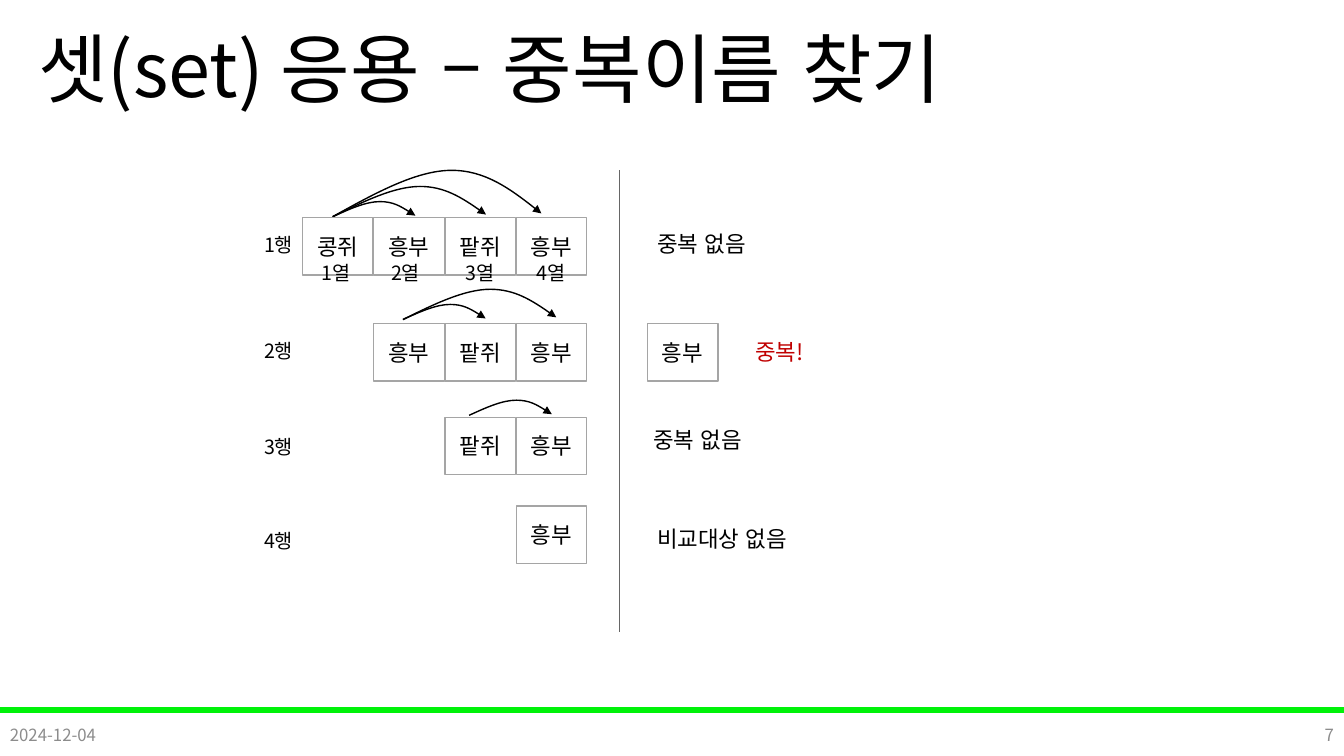
from lxml.etree import SubElement
from pptx import Presentation
from pptx.dml.color import RGBColor
from pptx.enum.lang import MSO_LANGUAGE_ID
from pptx.enum.shapes import MSO_CONNECTOR, MSO_SHAPE
from pptx.enum.text import MSO_ANCHOR, PP_ALIGN
from pptx.oxml.ns import qn
from pptx.util import Inches, Pt

FONT = "Noto Sans CJK KR"
BLACK = RGBColor(0, 0, 0)
WHITE = RGBColor(0xFF, 0xFF, 0xFF)
GRAY = RGBColor(0xA5, 0xA5, 0xA5)
DIVIDER_GRAY = RGBColor(0x66, 0x66, 0x66)
FOOTER_GRAY = RGBColor(0x8C, 0x8C, 0x8C)
GREEN = RGBColor(0x00, 0xF2, 0x09)
RED = RGBColor(0xC0, 0x00, 0x00)

NAMES = ["콩쥐", "흥부", "팥쥐", "흥부"]
CELL_W, CELL_H = 0.7, 0.57
PITCH = 2.12 / 3
# cell top, label top, arrow start (from the left and top of the first cell)
ROWS = [
    (2.16, 2.26, 0.3, -0.01),
    (3.21, 3.31, 0.29, -0.04),
    (4.14, 4.27, 0.24, -0.02),
    (5.02, 5.2, 0, 0),
]
COLUMN_LABELS = [0.09, 0.78, 1.52, 2.22]
# width and height of an arrow that reaches 1, 2 or 3 cells ahead
ARCS = [(0.82, 0.15), (1.52, 0.3), (2.07, 0.46)]
# start, then control, control and end of two Bezier curves in a unit box
ARC_POINTS = [(0, 1), (0.2, 0.5), (0.4, 0), (0.57, 0), (0.73, 0), (0.87, 0.46), (1, 0.93)]
RESULTS = [
    (0, 0.07, "중복 없음", 1.18, BLACK),
    (0.97, 1.15, "중복!", 0.71, RED),
    (-0.04, 2.02, "중복 없음", 1.18, BLACK),
    (0, 3.0, "비교대상 없음", 1.68, BLACK),
]


def write(tf, text, size, color, align=PP_ALIGN.LEFT):
    tf.text = text
    p = tf.paragraphs[0]
    p.alignment = align
    r = p.runs[0]
    r.font.size = Pt(size)
    r.font.name = FONT
    r.font.language_id = MSO_LANGUAGE_ID.KOREAN
    r.font.color.rgb = color
    SubElement(r.font._element, qn("a:ea")).set("typeface", FONT)


def add_text(s, x, y, w, h, text, size, color=BLACK, align=PP_ALIGN.LEFT,
             wrap=False, anchor=MSO_ANCHOR.TOP):
    tf = s.shapes.add_textbox(Inches(x), Inches(y), Inches(w), Inches(h)).text_frame
    tf.word_wrap = wrap
    tf.vertical_anchor = anchor
    write(tf, text, size, color, align)
    return tf


def add_rect(s, x, y, w, h, fill, line):
    sp = s.shapes.add_shape(MSO_SHAPE.RECTANGLE, Inches(x), Inches(y), Inches(w), Inches(h))
    sp.shadow.inherit = False
    sp.fill.solid()
    sp.fill.fore_color.rgb = fill
    sp.line.color.rgb = line
    sp.line.width = Pt(1)
    return sp


def add_cell(s, x, y, name):
    tf = add_rect(s, x, y, CELL_W, CELL_H, WHITE, GRAY).text_frame
    tf.vertical_anchor = MSO_ANCHOR.MIDDLE
    write(tf, name, 16, BLACK, PP_ALIGN.CENTER)


def add_arc(s, x, bottom, w, h):
    """Draw a curved arrow that starts at the lower left of its box."""
    points = [(Inches(x + w * u), Inches(bottom - h + h * v)) for u, v in ARC_POINTS]
    builder = s.shapes.build_freeform(*points[0])
    builder.add_line_segments(points[1:], close=False)
    sp = builder.convert_to_shape()
    # turn each three line segments into one Bezier curve
    outline = sp._element.spPr.find(f".//{qn('a:path')}")
    segments = outline.findall(qn("a:lnTo"))
    for i in range(0, len(segments), 3):
        curve = SubElement(outline, qn("a:cubicBezTo"))
        for segment in segments[i:i + 3]:
            curve.append(segment[0])
            outline.remove(segment)
    sp.shadow.inherit = False
    sp.fill.background()
    sp.line.color.rgb = BLACK
    sp.line.width = Pt(1)
    SubElement(sp.line._get_or_add_ln(), qn("a:tailEnd")).set("type", "triangle")


def add_comparison(s, left):
    """Draw the rows of names, each shorter by one, with their labels."""
    for i, (top, label_top, dx, dy) in enumerate(ROWS):
        x = left + i * PITCH
        for w, h in ARCS[:len(NAMES) - 1 - i]:
            add_arc(s, x + dx, top + dy, w, h)
        for j, name in enumerate(NAMES[i:]):
            add_cell(s, x + j * PITCH, top, name)
        add_text(s, left - 0.48, label_top, 0.55, 0.34, f"{i + 1}행", 14)
    for i, dx in enumerate(COLUMN_LABELS, 1):
        add_text(s, left + dx, ROWS[0][0] + 0.38, 0.55, 0.34, f"{i}열", 14)


def add_divider(s, x, top, bottom):
    line = s.shapes.add_connector(MSO_CONNECTOR.STRAIGHT, Inches(x), Inches(top),
                                  Inches(x), Inches(bottom))
    line.line.color.rgb = DIVIDER_GRAY
    line.line.width = Pt(0.5)
    SubElement(line._element.spPr, qn("a:effectLst"))


def add_results(s, left, top):
    add_cell(s, left, top + 1.05, "흥부")
    for dx, dy, text, w, color in RESULTS:
        add_text(s, left + dx, top + dy, w, 0.37, text, 16, color)


def add_footer(s, top):
    add_rect(s, 0, top, 13.33, 0.05, GREEN, GREEN)
    for x, text, align in [(0, "2024-12-04", PP_ALIGN.LEFT), (10.33, "7", PP_ALIGN.RIGHT)]:
        add_text(s, x, top + 0.07, 3, 0.4, text, 12, FOOTER_GRAY, align,
                 wrap=True, anchor=MSO_ANCHOR.MIDDLE)


def main():
    prs = Presentation()
    prs.slide_width, prs.slide_height = Inches(13.33), Inches(7.5)
    s = prs.slides.add_slide(prs.slide_layouts[6])
    add_footer(s, 7.02)
    title = add_text(s, 0.28, 0, 11.5, 1.45, "셋(set) 응용 – 중복이름 찾기", 54,
                     wrap=True, anchor=MSO_ANCHOR.MIDDLE)
    title.paragraphs[0].line_spacing = 0.9
    add_divider(s, 6.14, 1.69, 6.27)
    add_comparison(s, 3)
    add_results(s, 6.42, 2.16)
    prs.save("out.pptx")


if __name__ == "__main__":
    main()
